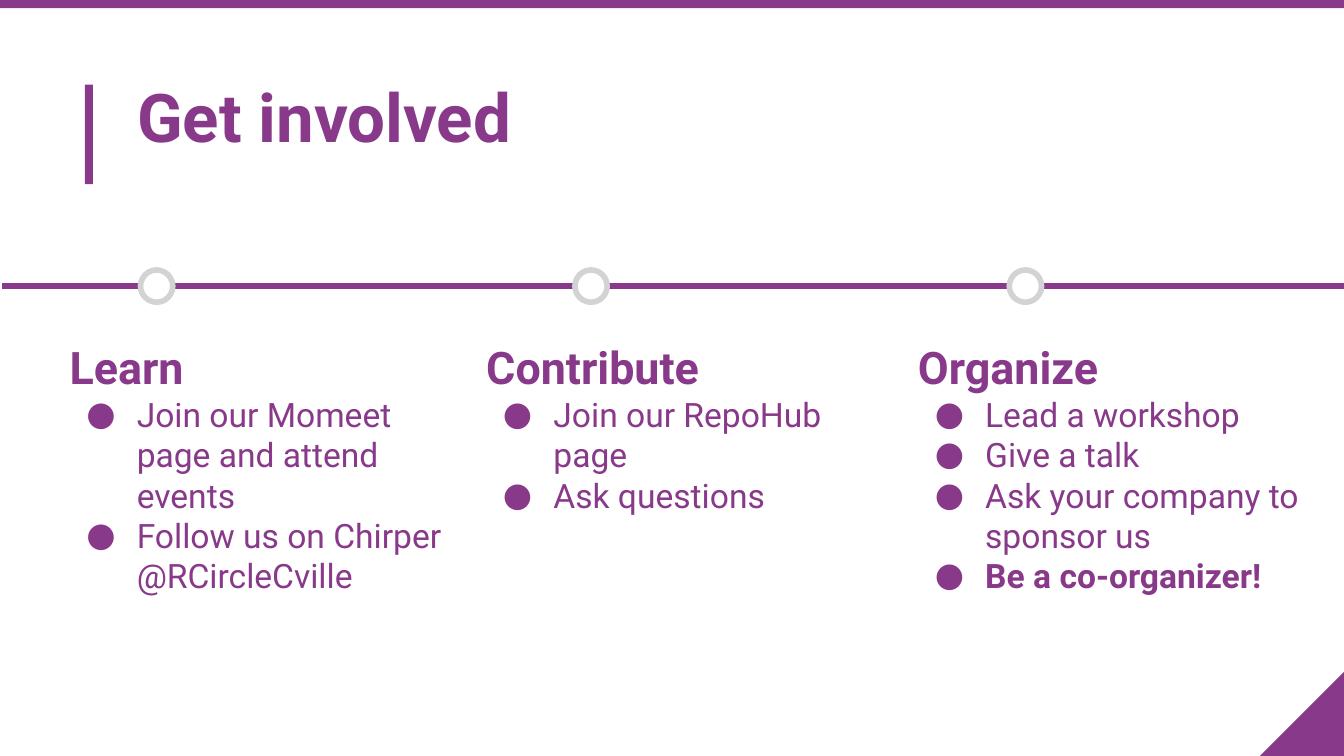
from lxml.etree import SubElement
from pptx import Presentation
from pptx.dml.color import RGBColor
from pptx.enum.shapes import MSO_CONNECTOR, MSO_SHAPE
from pptx.enum.text import MSO_ANCHOR
from pptx.oxml.ns import qn
from pptx.util import Pt

PURPLE, GREY, WHITE = "88398A", "D3D3D3", "FFFFFF"
PAGE_WIDTH, PAGE_HEIGHT = 720, 405


def colour(value):
    return RGBColor.from_string(value)


class SlideBuilder:
    font = "Roboto"
    inset = 7.2

    def __init__(self, page):
        self.page = page

    def shape(self, kind, left, top, width, height, fill=PURPLE, line=None, rotation=0):
        shape = self.page.shapes.add_shape(kind, Pt(left), Pt(top), Pt(width), Pt(height))
        shape.shadow.inherit = False
        shape.rotation = rotation
        shape.fill.solid()
        shape.fill.fore_color.rgb = colour(fill)
        if line:
            shape.line.color.rgb = colour(line)
            shape.line.width = Pt(3)
        else:
            shape.line.fill.background()

    def line(self, left, right, height):
        line = self.page.shapes.add_connector(
            MSO_CONNECTOR.STRAIGHT, Pt(left), Pt(height), Pt(right), Pt(height))
        line.line.color.rgb = colour(PURPLE)
        line.line.width = Pt(3)
        SubElement(line._element.spPr, qn("a:effectLst"))

    def text_box(self, left, top, width, height):
        box = self.page.shapes.add_textbox(Pt(left), Pt(top), Pt(width), Pt(height))
        frame = box.text_frame
        frame.word_wrap = True
        frame.vertical_anchor = MSO_ANCHOR.TOP
        frame.margin_left = frame.margin_right = Pt(self.inset)
        frame.margin_top = frame.margin_bottom = Pt(self.inset)
        return frame

    def run(self, para, text, size, bold=False):
        span = para.add_run()
        span.text = text
        span.font.name = self.font
        span.font.size = Pt(size)
        span.font.bold = bold
        span.font.color.rgb = colour(PURPLE)

    def bullet(self, para):
        properties = para._p.get_or_add_pPr()
        properties.set("marL", str(Pt(36)))
        properties.set("indent", str(Pt(-27)))
        bullet_colour = SubElement(properties, qn("a:buClr"))
        SubElement(bullet_colour, qn("a:srgbClr"), val=PURPLE)
        SubElement(properties, qn("a:buFont"), typeface=self.font)
        SubElement(properties, qn("a:buChar"), char="●")

    def column(self, left, heading, items):
        frame = self.text_box(left, 175, 219.6, 165.6)
        self.run(frame.paragraphs[0], heading, 24, bold=True)
        for text, bold in items:
            para = frame.add_paragraph()
            self.bullet(para)
            self.run(para, text, 18, bold)


def main():
    deck = Presentation()
    deck.slide_width, deck.slide_height = Pt(PAGE_WIDTH), Pt(PAGE_HEIGHT)
    page = deck.slides.add_slide(deck.slide_layouts[6])
    builder = SlideBuilder(page)

    # Page decoration: corner, title bar and top band
    corner = 45
    builder.shape(MSO_SHAPE.RIGHT_TRIANGLE, PAGE_WIDTH - corner, PAGE_HEIGHT - corner,
                  corner, corner, rotation=270)
    builder.shape(MSO_SHAPE.RECTANGLE, 45.4, 45.4, 4.4, 53.3)
    builder.shape(MSO_SHAPE.RECTANGLE, 0, 0, PAGE_WIDTH, 4.4)

    # Title
    title = builder.text_box(66.4, 33.1, 254, 67.7)
    builder.run(title.paragraphs[0], "Get involved", 36, bold=True)

    # Timeline with evenly spaced markers
    timeline_height, marker = 153.3, 17.3
    builder.line(1, PAGE_WIDTH, timeline_height)
    for index in range(3):
        builder.shape(MSO_SHAPE.OVAL, 75.3 + index * 232.7, timeline_height - marker / 2,
                      marker, marker, fill=WHITE, line=GREY)

    # Ways to take part: left edge, heading, (item, bold)
    columns = [
        (30.2, "Learn", [("Join our Momeet page and attend events", False),
                         ("Follow us on Chirper @RCircleCville", False)]),
        (253.4, "Contribute", [("Join our RepoHub page", False),
                               ("Ask questions", False)]),
        (484.7, "Organize", [("Lead a workshop", False),
                             ("Give a talk", False),
                             ("Ask your company to sponsor us", False),
                             ("Be a co-organizer!", True)]),
    ]
    for left, heading, items in columns:
        builder.column(left, heading, items)

    deck.save("out.pptx")


if __name__ == "__main__":
    main()
